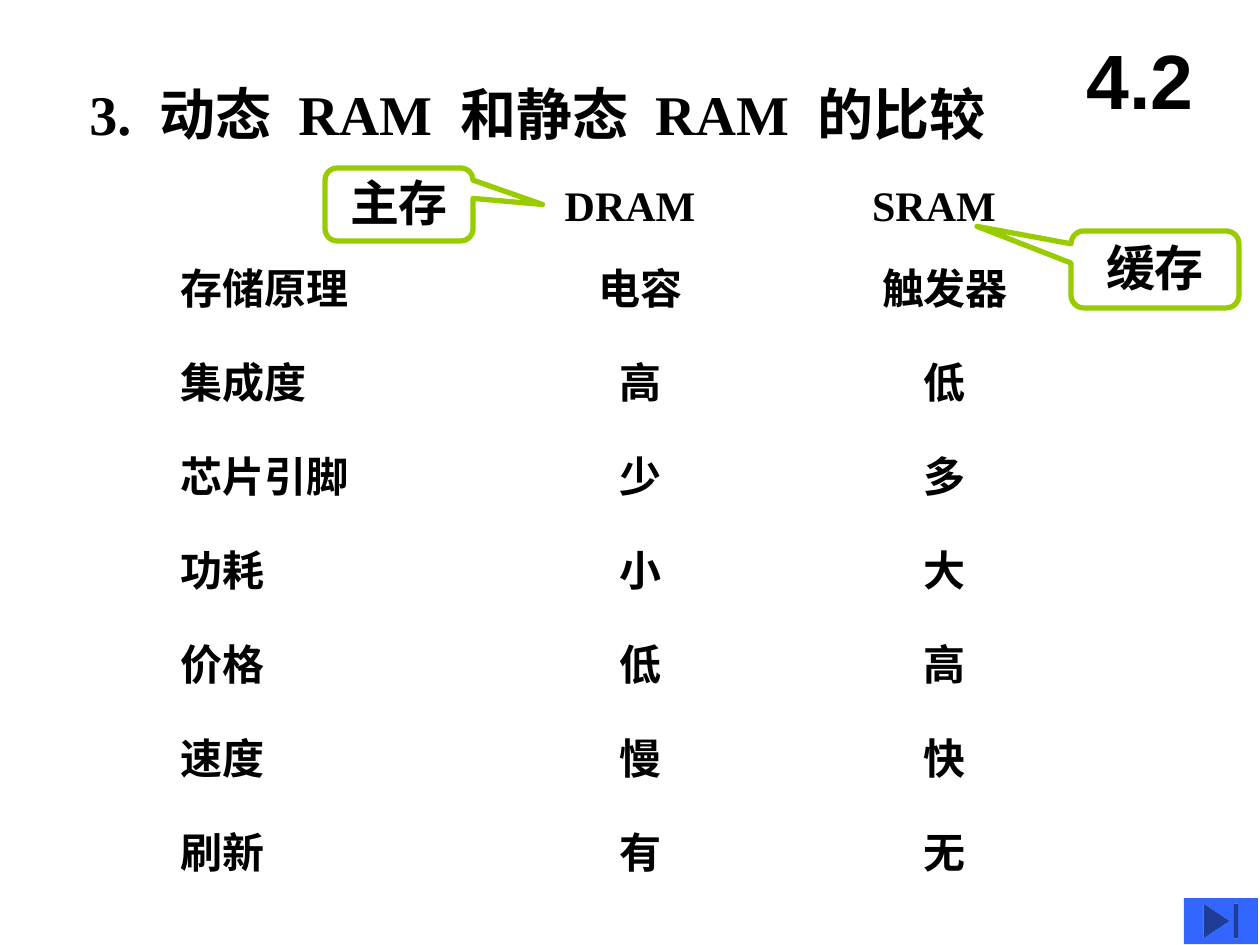
from pptx import Presentation
from pptx.dml.color import RGBColor
from pptx.enum.shapes import MSO_SHAPE as Shape
from pptx.enum.text import MSO_ANCHOR as Anchor, MSO_AUTO_SIZE as AutoSize, PP_ALIGN as Align
from pptx.util import Emu, Pt

PX_PER_INCH = 126
BLACK = RGBColor(0x00, 0x00, 0x00)
GREEN = RGBColor(0x99, 0xCC, 0x00)
BLUE = RGBColor(0x33, 0x66, 0xFF)
SERIF, SANS = "Times New Roman", "Arial"

TITLE_WORDS = ["3.", "动态", "RAM", "和静态", "RAM", "的比较"]
KINDS = ["DRAM", "SRAM"]
COMPARISON = [
    ("存储原理", "电容", "触发器"),
    ("集成度", "高", "低"),
    ("芯片引脚", "少", "多"),
    ("功耗", "小", "大"),
    ("价格", "低", "高"),
    ("速度", "慢", "快"),
    ("刷新", "有", "无"),
]


def px(*lengths):
    return [Emu(round(length * 914400 / PX_PER_INCH)) for length in lengths]


def add_run(paragraph, text, size, font=SERIF):
    run = paragraph.add_run()
    run.text = text
    run.font.size = Pt(size)
    run.font.name = font
    run.font.bold = True
    run.font.color.rgb = BLACK
    return run


def add_label(slide, box, text, size, align=Align.CENTER):
    frame = slide.shapes.add_textbox(*px(*box)).text_frame
    frame.word_wrap = True
    frame.auto_size = AutoSize.SHAPE_TO_FIT_TEXT
    frame.paragraphs[0].alignment = align
    if text:
        add_run(frame.paragraphs[0], text, size)
    return frame


def add_title(slide, box):
    """Title whose single spaces are widened by character spacing."""
    size = 32
    heading = add_label(slide, box, "", size, Align.LEFT).paragraphs[0]
    for index, word in enumerate(TITLE_WORDS):
        if index:
            gap = add_run(heading, " ", size)
            gap.font._element.set("spc", str(size * 25))
        add_run(heading, word, size)


def add_section_number(slide, box):
    frame = slide.shapes.add_textbox(*px(*box)).text_frame
    frame.word_wrap = True
    frame.vertical_anchor = Anchor.MIDDLE
    frame.paragraphs[0].alignment = Align.CENTER
    add_run(frame.paragraphs[0], "4.2", 44, SANS)


def add_comparison(slide, left, top):
    """Header line, then one row per property with two value columns."""
    width, height, row_pitch = 336, 63, 94
    value_lefts = [left + 305, left + 609]
    header_shift = -11
    for kind, value_left in zip(KINDS, value_lefts):
        add_label(slide, (value_left + header_shift, top, width, height), kind, 24)
    for row, (feature, *values) in enumerate(COMPARISON):
        row_top = top + 83 + row * row_pitch
        add_label(slide, (left, row_top, width, height), feature, 24, Align.LEFT)
        for value, value_left in zip(values, value_lefts):
            add_label(slide, (value_left, row_top, width, height), value, 24)


def add_callout(slide, box, text, tip):
    """Rounded callout; tip is its point as fractions of the box from the centre."""
    callout = slide.shapes.add_shape(Shape.ROUNDED_RECTANGULAR_CALLOUT, *px(*box))
    callout.shadow.inherit = False
    callout.adjustments[0], callout.adjustments[1] = tip
    callout.fill.background()
    callout.line.color.rgb = GREEN
    callout.line.width = Pt(3)
    frame = callout.text_frame
    frame.vertical_anchor = Anchor.MIDDLE
    frame.margin_top, frame.margin_bottom = px(0, 6)
    frame.paragraphs[0].alignment = Align.CENTER
    add_run(frame.paragraphs[0], text, 28)


def add_end_button(slide, box):
    button = slide.shapes.add_shape(Shape.ACTION_BUTTON_END, *px(*box))
    button.shadow.inherit = False
    button.fill.solid()
    button.fill.fore_color.rgb = BLUE
    button.line.fill.background()


def main():
    deck = Presentation()
    deck.slide_width, deck.slide_height = px(1260, 945)
    slide = deck.slides.add_slide(deck.slide_layouts[6])
    add_title(slide, (77, 73, 945, 81))
    add_comparison(slide, 168, 173)
    add_callout(slide, (325, 168, 148, 73), "主存", (0.97, 0))
    add_callout(slide, (1071, 231, 168, 77), "缓存", (-1.06, -0.56))
    add_section_number(slide, (1061, 21, 158, 116))
    add_end_button(slide, (1184, 898, 74, 46))
    deck.save("out.pptx")


if __name__ == "__main__":
    main()
